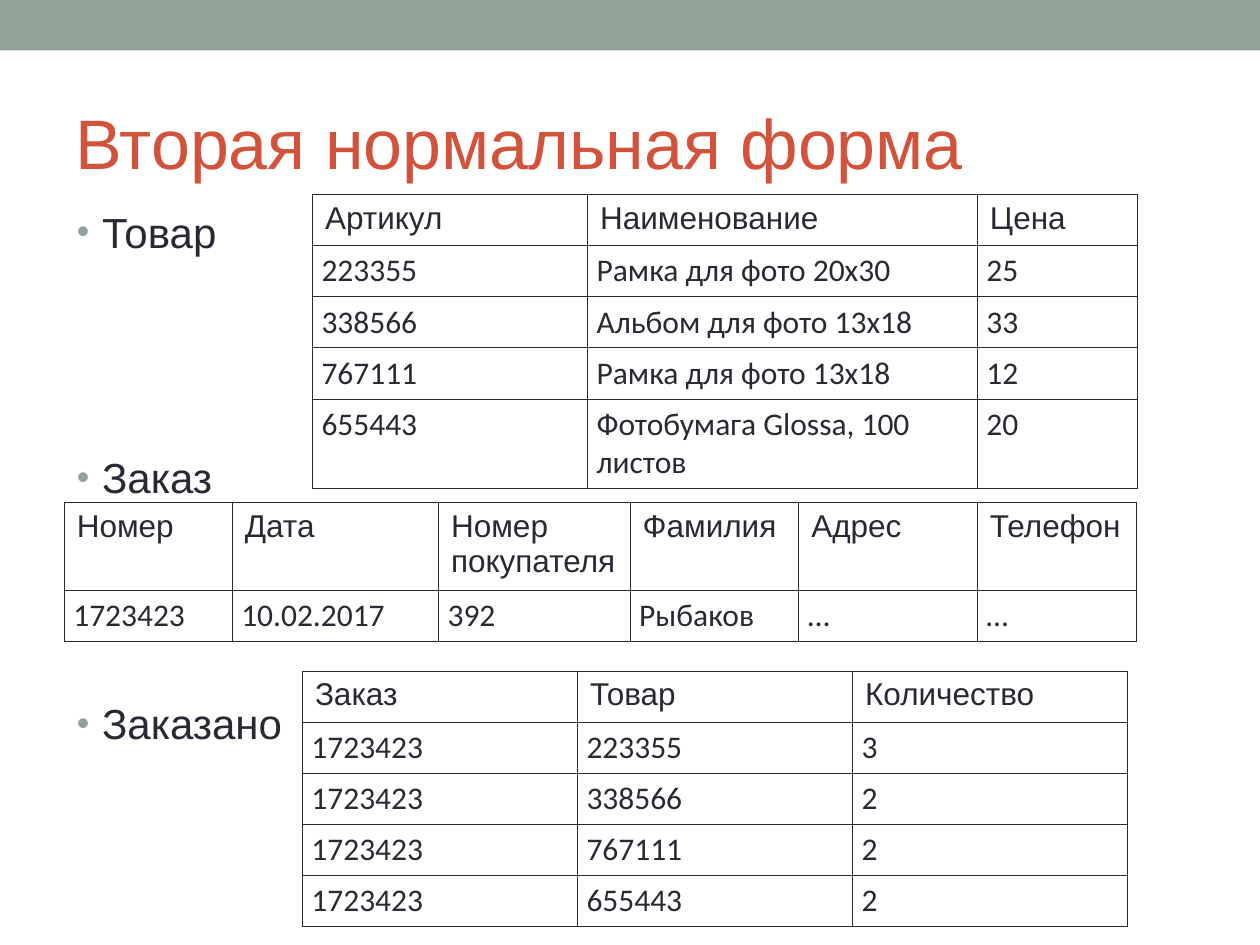
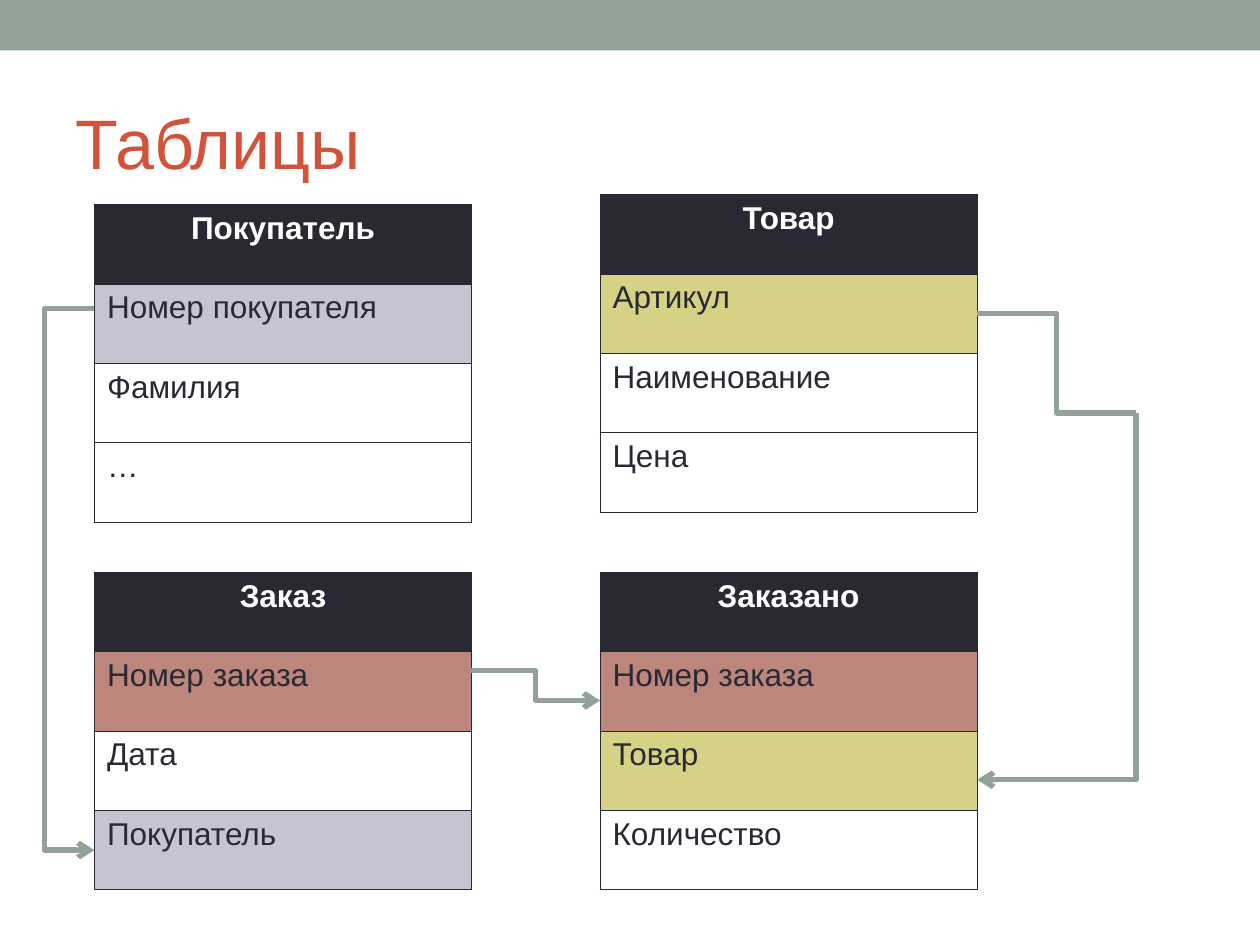
from pptx import Presentation
from pptx.dml.color import RGBColor
from pptx.enum.shapes import MSO_CONNECTOR, MSO_SHAPE
from pptx.enum.text import MSO_ANCHOR, MSO_AUTO_SIZE, PP_ALIGN
from pptx.oxml.ns import qn
from pptx.oxml import parse_xml
from pptx.util import Pt

RECTANGLE = MSO_SHAPE.RECTANGLE
ELBOW = MSO_CONNECTOR.ELBOW
MIDDLE, TOP = MSO_ANCHOR.MIDDLE, MSO_ANCHOR.TOP
NO_AUTOFIT = MSO_AUTO_SIZE.NONE
LEFT, CENTER = PP_ALIGN.LEFT, PP_ALIGN.CENTER

DRAWING = 'xmlns:a="http://schemas.openxmlformats.org/drawingml/2006/main"'
DARK, WHITE, RED, SAGE = "292934", "FFFFFF", "D2533C", "93A299"
ORDER_KEY, PRODUCT_KEY, CUSTOMER_KEY = "BD867C", "D5D286", "C5C5D1"


def rgb(hex_color):
    return RGBColor.from_string(hex_color)


def add_grid(slide, left, top, widths, heights, rows, border):
    """Add an unfilled table with dark borders and 18 pt text."""
    frame = slide.shapes.add_table(len(heights), len(widths), Pt(left), Pt(top),
                                   Pt(sum(widths)), Pt(sum(heights)))
    table = frame.table
    table.first_row = table.horz_banding = False
    for column, width in zip(table.columns, widths):
        column.width = Pt(width)
    for row, height, texts in zip(table.rows, heights, rows):
        row.height = Pt(height)
        for cell, text in zip(row.cells, texts):
            cell.text_frame.text = text
            font = cell.text_frame.paragraphs[0].runs[0].font
            font.name, font.size, font.bold = "Arial", Pt(18), False
            font.color.rgb = rgb(DARK)
            properties = cell._tc.get_or_add_tcPr()
            for side in ("lnL", "lnR", "lnT", "lnB"):
                properties.append(parse_xml(
                    f'<a:{side} {DRAWING} w="{Pt(border)}"><a:solidFill>'
                    f'<a:srgbClr val="{DARK}"/></a:solidFill></a:{side}>'))
            cell.fill.background()
    return table


presentation = Presentation()
presentation.slide_width, presentation.slide_height = Pt(720), Pt(540)
list_layout, title_layout = presentation.slide_layouts[1], presentation.slide_layouts[5]
form_slide = presentation.slides.add_slide(list_layout)
schema_slide = presentation.slides.add_slide(title_layout)

# Shared band on the master
band = form_slide.shapes.add_shape(RECTANGLE, 0, 0, Pt(720), Pt(28.8))
band.shadow.inherit = False
band.fill.solid()
band.fill.fore_color.rgb = rgb(SAGE)
band.line.fill.background()
presentation.slide_master.shapes._spTree.insert(2, band._element)

# Titles
for slide, text in ((form_slide, "Вторая нормальная форма"), (schema_slide, "Таблицы")):
    title = slide.shapes.title
    title.left, title.top, title.width, title.height = Pt(36), Pt(41.76), Pt(648), Pt(77.76)
    title.text_frame.text = text
    title.text_frame.auto_size = NO_AUTOFIT
    title.text_frame.vertical_anchor = MIDDLE
    paragraph = title.text_frame.paragraphs[0]
    paragraph.alignment = LEFT
    font = paragraph.runs[0].font
    font.name, font.size, font.color.rgb = "Arial", Pt(40), rgb(RED)

# Slide 1: list of relations
relations = form_slide.placeholders[1]
relations.left, relations.top, relations.width, relations.height = (
    Pt(36.72), Pt(111.6), Pt(652.32), Pt(396.72))
text_frame = relations.text_frame
text_frame.text = "Товар\nЗаказ\nЗаказано"
text_frame.auto_size = NO_AUTOFIT
text_frame.vertical_anchor = TOP
text_frame.margin_top = Pt(6.2)
for index, paragraph in enumerate(text_frame.paragraphs):
    paragraph.space_before = Pt(111.6 if index else 0)
    font = paragraph.runs[0].font
    font.name, font.size, font.color.rgb = "Arial", Pt(24), rgb(DARK)
    properties = paragraph._p.get_or_add_pPr()
    properties.set("marL", str(Pt(14.4)))
    properties.set("indent", str(-Pt(14.4)))
    for bullet in (f'<a:buClr {DRAWING}><a:srgbClr val="{SAGE}"/></a:buClr>',
                   f'<a:buSzPct {DRAWING} val="85000"/>',
                   f'<a:buFont {DRAWING} typeface="Arial"/>',
                   f'<a:buChar {DRAWING} char="•"/>'):
        properties.append(parse_xml(bullet))

# Slide 1: tables with sample rows
products = [
    ("Артикул", "Наименование", "Цена"),
    ("223355", "Рамка для фото 20х30", "25"),
    ("338566", "Альбом для фото 13х18", "33"),
    ("767111", "Рамка для фото 13х18", "12"),
    ("655443", "Фотобумага Glossa, 100 листов", "20"),
]
orders = [
    ("Номер", "Дата", "Номер покупателя", "Фамилия", "Адрес", "Телефон"),
    ("1723423", "10.02.2017", "392", "Рыбаков", "…", "…"),
]
ordered = [("Заказ", "Товар", "Количество")] + [
    ("1723423", article, quantity) for article, quantity in
    (("223355", "3"), ("338566", "2"), ("767111", "2"), ("655443", "2"))]
for left, top, widths, heights, rows in (
        (178.56, 111.2, (157.2, 222.8, 91.4), [29.15] * 4 + [43.2], products),
        (36.72, 287.1, (96, 117.9, 109.5, 96.4, 102.1, 91), [50.3, 29.15], orders),
        (172.8, 383.4, [157.2] * 3, [29.15] * 5, ordered)):
    table = add_grid(form_slide, left, top, widths, heights, rows, 0.45)
    for row in list(table.rows)[1:]:
        for cell in row.cells:
            cell.margin_left = cell.margin_right = Pt(5.2)
            cell.text_frame.paragraphs[0].runs[0].font.name = "Calibri"

# Slide 2: tables with their fields, linked fields share a colour
left_column, right_column, lower_row = 54, 342.9, 327
for left, top, name, fields in (
        (left_column, lower_row, "Заказ",
         (("Номер заказа", ORDER_KEY), ("Дата", None), ("Покупатель", CUSTOMER_KEY))),
        (right_column, 111.2, "Товар",
         (("Артикул", PRODUCT_KEY), ("Наименование", None), ("Цена", None))),
        (left_column, 116.9, "Покупатель",
         (("Номер покупателя", CUSTOMER_KEY), ("Фамилия", None), ("…", None))),
        (right_column, lower_row, "Заказано",
         (("Номер заказа", ORDER_KEY), ("Товар", PRODUCT_KEY), ("Количество", None)))):
    entries = ((name, DARK),) + fields
    table = add_grid(schema_slide, left, top, [215.5], [45.35] * 4,
                     [(text,) for text, _ in entries], 0.34)
    for index, (_, fill) in enumerate(entries):
        if fill:
            cell = table.cell(index, 0)
            cell.fill.solid()
            cell.fill.fore_color.rgb = rgb(fill)
    header = table.cell(0, 0).text_frame.paragraphs[0]
    header.alignment = CENTER
    header.runs[0].font.bold = True
    header.runs[0].font.color.rgb = rgb(WHITE)

# Slide 2: links between the tables
for begin_x, begin_y, end_x, end_y, preset, arrow_end in (
        (269.4, 383.3, 342.9, 400.3, "bentConnector3", "tailEnd"),
        (558.4, 179.1, 649.2, 236, "bentConnector3", None),
        (558.4, 445.6, 649.2, 236, "bentConnector2", "headEnd"),
        (54, 176.4, 25.3, 383, "bentConnector2", None),
        (54, 485.8, 25.3, 383, "bentConnector2", "headEnd")):
    link = schema_slide.shapes.add_connector(ELBOW, Pt(begin_x), Pt(begin_y),
                                             Pt(end_x), Pt(end_y))
    link.line.width = Pt(3)
    link.line.color.rgb = rgb(SAGE)
    properties = link._element.spPr
    properties.find(qn("a:prstGeom")).set("prst", preset)
    if arrow_end:
        properties.find(qn("a:ln")).append(
            parse_xml(f'<a:{arrow_end} {DRAWING} type="arrow"/>'))
    properties.append(parse_xml(f"<a:effectLst {DRAWING}/>"))

presentation.save("out.pptx")
